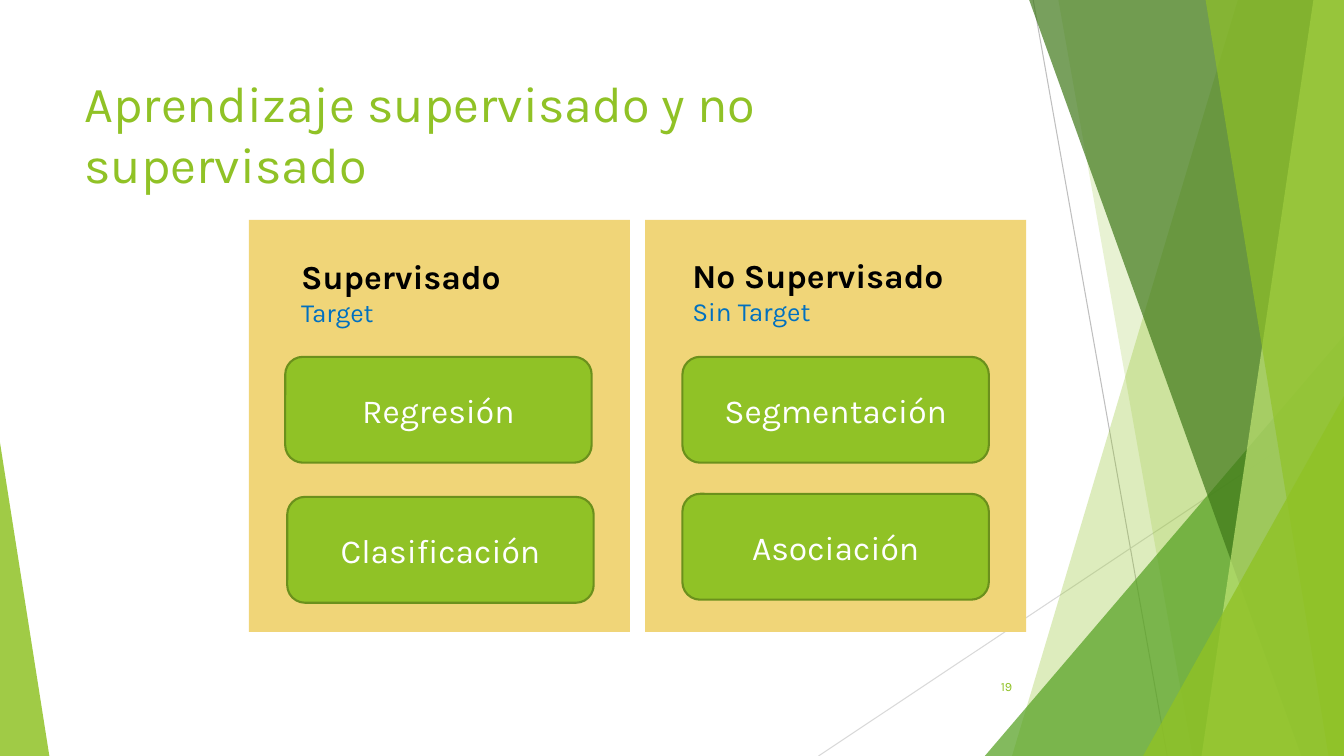
import pptx
import pptx.util
import pptx.dml.color
import pptx.enum.shapes
import pptx.enum.text
import pptx.oxml.ns
import lxml.etree

THEME = {
    "font": "Karla", "green": "90C226", "card line": "6B901C", "panel": "F0D578",
    "white": "FFFFFF", "black": "000000", "blue": "0070C0",
    "title": 36, "label": 24, "detail": 18.7, "number": 9,
}
SHAPES = pptx.enum.shapes.MSO_SHAPE
ALIGN = pptx.enum.text.PP_ALIGN
ANCHOR = pptx.enum.text.MSO_ANCHOR

presentation = pptx.Presentation()
presentation.slide_width = pptx.util.Inches(13.33)
presentation.slide_height = pptx.util.Inches(7.5)
slide = presentation.slides.add_slide(presentation.slide_layouts[6])

# The slide is a grid of 40 columns by 40 rows
GRID = 40
COLUMN = presentation.slide_width / GRID
ROW = presentation.slide_height / GRID


def paint(shape, color, opacity=100):
    """Fill a shape flat, without line or shadow, at an opacity in percent."""
    shape.shadow.inherit = False
    shape.line.fill.background()
    shape.fill.solid()
    shape.fill.fore_color.rgb = pptx.dml.color.RGBColor.from_string(color)
    if opacity < 100:
        color_element = shape.fill._xPr.find(".//" + pptx.oxml.ns.qn("a:srgbClr"))
        alpha = lxml.etree.SubElement(color_element, pptx.oxml.ns.qn("a:alpha"))
        alpha.set("val", str(opacity * 1000))


def write(shape, lines, anchor=ANCHOR.TOP, align=ALIGN.LEFT):
    """Write lines of (text, size name, color name, bold) into a shape."""
    frame = shape.text_frame
    frame.word_wrap = True
    frame.vertical_anchor = anchor
    frame.text = "\n".join(line[0] for line in lines)
    for paragraph, (text, size, color, bold) in zip(frame.paragraphs, lines):
        paragraph.alignment = align
        font = paragraph.runs[0].font
        font.name = THEME["font"]
        font.size = pptx.util.Pt(THEME[size])
        font.bold = bold
        font.color.rgb = pptx.dml.color.RGBColor.from_string(THEME[color])


# Thin lines behind the facets: start column, start row, end column, color
for start_column, start_row, end_column, color in [
    (30.75, 0, 34.74, "BFBFBF"),
    (GRID, 21.49, 24.36, "D9D9D9"),
]:
    connector = slide.shapes.add_connector(
        pptx.enum.shapes.MSO_CONNECTOR.STRAIGHT,
        round(start_column * COLUMN), round(start_row * ROW),
        round(end_column * COLUMN), presentation.slide_height)
    connector.line.width = pptx.util.Pt(0.75)
    connector.line.color.rgb = pptx.dml.color.RGBColor.from_string(color)
    lxml.etree.SubElement(connector._element.spPr, pptx.oxml.ns.qn("a:effectLst"))

# A band runs from its slanted left side to the right edge: top column, bottom column
# A triangle stands on the bottom edge: left, top, width, apex
for kind, place, color, opacity in [
    ("band", (36.84, 30.12), THEME["green"], 30),
    ("band", (31.5, 35.49), THEME["green"], 20),
    ("triangle", (29.31, 17.76, 10.69, 1), "54A021", 72),
    ("band", (30.63, 38.73), "3F7819", 70),
    ("band", (39.09, 35.76), "C0E474", 70),
    ("band", (35.88, 39.54), THEME["green"], 65),
    ("triangle", (34.02, 20.96, 5.98, 1), THEME["green"], 80),
    ("triangle", (0, 23.41, 1.47, 0), THEME["green"], 85),
]:
    if kind == "band":
        top_column, bottom_column = place
        builder = slide.shapes.build_freeform(round(top_column * COLUMN), 0)
        builder.add_line_segments([
            (presentation.slide_width, 0),
            (presentation.slide_width, presentation.slide_height),
            (round(bottom_column * COLUMN), presentation.slide_height)])
        facet = builder.convert_to_shape()
    else:
        left, top, width, apex = place
        facet = slide.shapes.add_shape(
            SHAPES.ISOSCELES_TRIANGLE, round(left * COLUMN), round(top * ROW),
            round(width * COLUMN), round((GRID - top) * ROW))
        facet.adjustments[0] = apex
    paint(facet, color, opacity)

title = slide.shapes.add_textbox(
    round(2.22 * COLUMN), round(3.57 * ROW), round(28.2 * COLUMN), round(7.68 * ROW))
write(title, [("Aprendizaje supervisado y no supervisado", "title", "green", False)])

number = slide.shapes.add_textbox(
    round(28.17 * COLUMN), round(35.25 * ROW), round(2.25 * COLUMN), round(2.13 * ROW))
write(number, [("19", "number", "green", False)], ANCHOR.MIDDLE, ALIGN.RIGHT)

# Each panel: left, heading (left, top, name, detail), cards (left, top, name)
for panel_left, heading, cards in [
    (7.41, (8.67, 13.28, "Supervisado", "Target"),
     [(8.49, 18.88, "Regresión"), (8.55, 26.29, "Clasificación")]),
    (19.2, (20.31, 13.23, "No Supervisado", "Sin Target"),
     [(20.31, 18.88, "Segmentación"), (20.31, 26.13, "Asociación")]),
]:
    panel = slide.shapes.add_shape(
        SHAPES.RECTANGLE, round(panel_left * COLUMN), round(11.63 * ROW),
        round(11.34 * COLUMN), round(21.81 * ROW))
    paint(panel, THEME["panel"])

    left, top, name, detail = heading
    heading_box = slide.shapes.add_textbox(
        round(left * COLUMN), round(top * ROW), round(9.12 * COLUMN), round(4.37 * ROW))
    write(heading_box, [(name, "label", "black", True), (detail, "detail", "blue", False)])

    for left, top, name in cards:
        card = slide.shapes.add_shape(
            SHAPES.ROUNDED_RECTANGLE, round(left * COLUMN), round(top * ROW),
            round(9.12 * COLUMN), round(5.6 * ROW))
        paint(card, THEME["green"])
        card.line.color.rgb = pptx.dml.color.RGBColor.from_string(THEME["card line"])
        card.line.width = pptx.util.Pt(1.5)
        write(card, [(name, "label", "white", False)], ANCHOR.MIDDLE, ALIGN.CENTER)

presentation.save("out.pptx")
